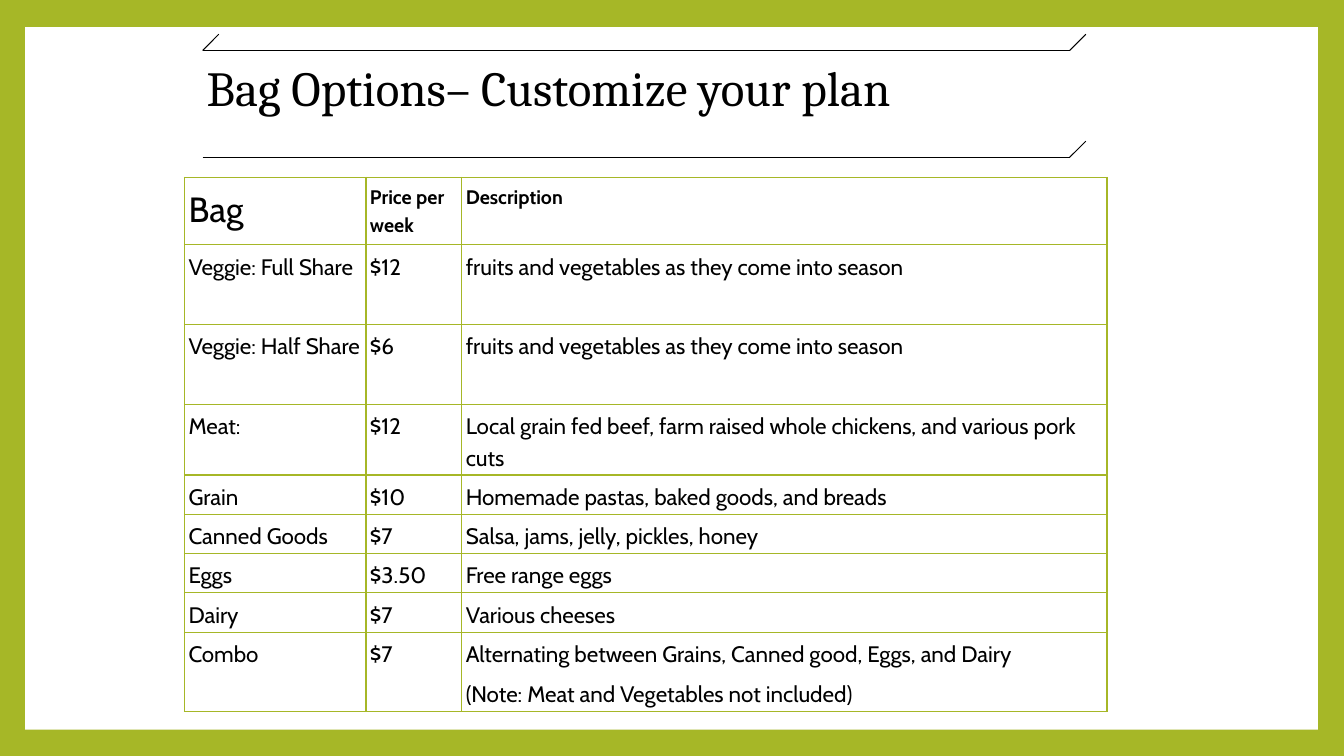
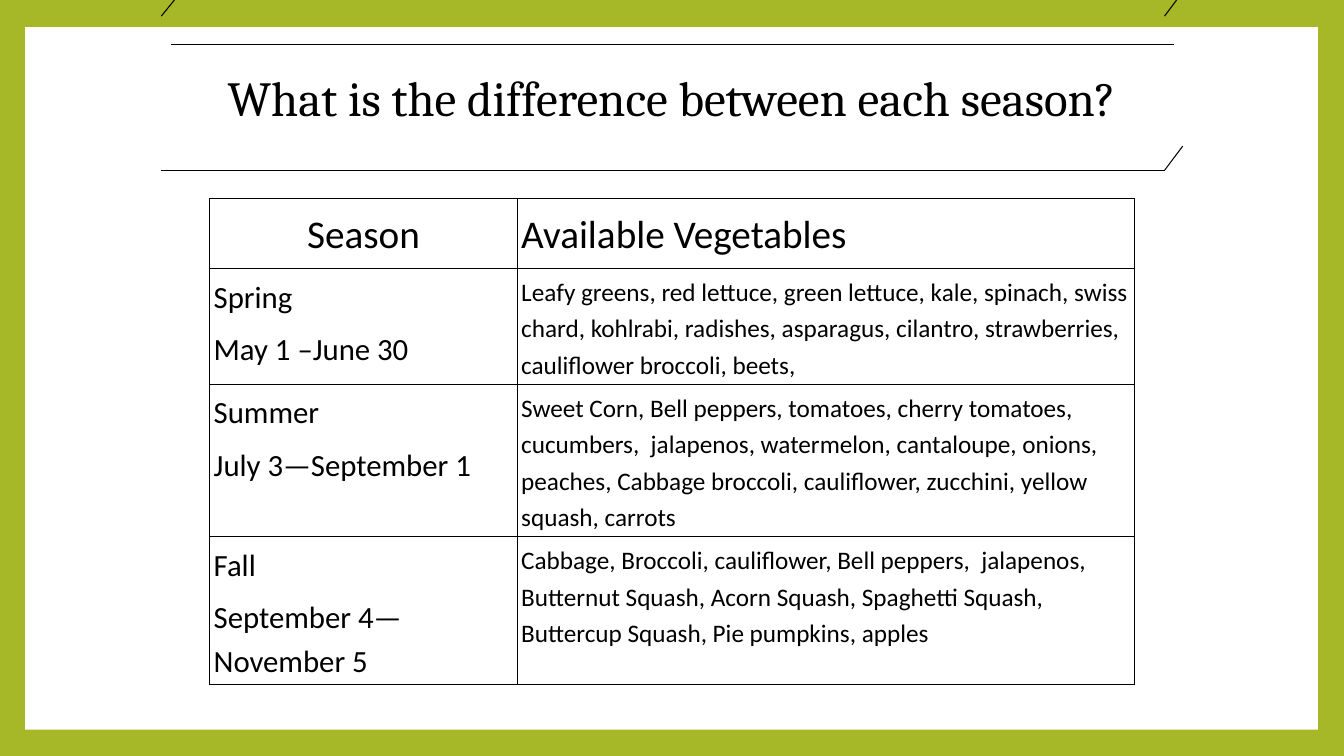
from dataclasses import dataclass, field

from lxml.etree import SubElement
from pptx import Presentation
from pptx.dml.color import RGBColor
from pptx.enum.shapes import MSO_CONNECTOR, MSO_SHAPE
from pptx.enum.text import MSO_ANCHOR, MSO_AUTO_SIZE, PP_ALIGN
from pptx.oxml.ns import qn
from pptx.slide import Slide
from pptx.table import _Cell as Cell
from pptx.text.text import TextFrame
from pptx.util import Inches, Pt


@dataclass(frozen=True)
class Theme:
    green: str = "A6B727"
    white: str = "FFFFFF"
    black: str = "000000"
    title_font: str = "Cambria"
    title_size: float = 35
    rule: float = 0.75
    inset: float = 0.04
    base: float = 0.03
    leading: float = 1.18
    after: float = 6


THEME = Theme()
TITLE_ONLY = 5
INSETS = {
    "margin_left": Inches(THEME.inset),
    "margin_top": Inches(THEME.inset),
    "margin_right": Inches(THEME.inset),
    "margin_bottom": Inches(THEME.base),
}


@dataclass(frozen=True)
class Style:
    size: float
    bold: bool = False
    align: PP_ALIGN = PP_ALIGN.LEFT


@dataclass(frozen=True)
class Line:
    x1: float
    y1: float
    x2: float
    y2: float


@dataclass(frozen=True)
class Title:
    text: str
    box: tuple[float, float, float, float]
    align: PP_ALIGN
    lines: list[Line]


@dataclass(frozen=True)
class Grid:
    """A table; a line break in a cell starts a new paragraph."""
    left: float
    top: float
    cols: list[float]
    rows: list[float]
    font: str
    edge: str
    weight: float
    head: list[Style]
    body: list[Style]
    cells: list[tuple[str, ...]] = field(default_factory=list)


@dataclass(frozen=True)
class Page:
    title: Title
    grid: Grid


PAGES = [
    Page(
        Title(
            "Bag Options– Customize your plan",
            (2.01, 0.53, 8.6, 0.63),
            PP_ALIGN.LEFT,
            [
                Line(2.01, 0.5, 2.17, 0.34),
                Line(10.61, 0.5, 10.77, 0.34),
                Line(2.01, 0.5, 10.61, 0.5),
                Line(10.61, 1.56, 10.77, 1.4),
                Line(2.01, 1.56, 10.61, 1.56),
            ],
        ),
        Grid(
            1.83, 1.76,
            cols=[1.8, 0.95, 6.4],
            rows=[0.67, 0.79, 0.79, 0.7] + [0.39] * 4 + [0.79],
            font="Cabin",
            edge=THEME.green,
            weight=1,
            head=[Style(25), Style(14, True), Style(14, True)],
            body=[Style(16)] * 3,
            cells=[
                ("Bag", "Price per week", "Description"),
                ("Veggie: Full Share", "$12",
                 "fruits and vegetables as they come into season"),
                ("Veggie: Half Share", "$6",
                 "fruits and vegetables as they come into season"),
                ("Meat:", "$12",
                 "Local grain fed beef, farm raised whole chickens, "
                 "and various pork cuts"),
                ("Grain", "$10", "Homemade pastas, baked goods, and breads"),
                ("Canned Goods", "$7", "Salsa, jams, jelly, pickles, honey"),
                ("Eggs", "$3.50", "Free range eggs"),
                ("Dairy", "$7", "Various cheeses"),
                ("Combo", "$7",
                 "Alternating between Grains, Canned good, Eggs, and Dairy\n"
                 "(Note: Meat and Vegetables not included)"),
            ],
        ),
    ),
    Page(
        Title(
            "What is the difference between each season?",
            (1.71, 0.63, 9.91, 0.91),
            PP_ALIGN.CENTER,
            [
                Line(1.6, 0.16, 1.73, 0),
                Line(11.55, 0.16, 11.67, 0),
                Line(1.7, 0.44, 11.64, 0.44),
                Line(11.55, 1.69, 11.73, 1.45),
                Line(1.6, 1.69, 11.55, 1.69),
            ],
        ),
        Grid(
            2.08, 1.97,
            cols=[3.05, 6.12],
            rows=[0.69, 1.15, 1.51, 1.47],
            font="Calibri",
            edge=THEME.black,
            weight=0.5,
            head=[Style(28, align=PP_ALIGN.CENTER), Style(28)],
            body=[Style(22), Style(18)],
            cells=[
                ("Season", "Available Vegetables"),
                ("Spring\nMay 1 –June 30",
                 "Leafy greens, red lettuce, green lettuce, kale, spinach, "
                 "swiss chard, kohlrabi, radishes, asparagus, cilantro, "
                 "strawberries, cauliflower broccoli, beets,"),
                ("Summer\nJuly 3—September 1",
                 "Sweet Corn, Bell peppers, tomatoes, cherry tomatoes, "
                 "cucumbers,  jalapenos, watermelon, cantaloupe, onions, "
                 "peaches, Cabbage broccoli, cauliflower, zucchini, "
                 "yellow squash, carrots"),
                ("Fall\nSeptember 4—November 5",
                 "Cabbage, Broccoli, cauliflower, Bell peppers,  jalapenos, "
                 "Butternut Squash, Acorn Squash, Spaghetti Squash, "
                 "Buttercup Squash, Pie pumpkins, apples"),
            ],
        ),
    ),
]


def paint(fill, shade: str) -> None:
    fill.solid()
    fill.fore_color.rgb = RGBColor.from_string(shade)


def apply(item, values: dict) -> None:
    for name, value in values.items():
        setattr(item, name, value)


def write(frame: TextFrame, text: str, font: dict, para: dict) -> None:
    frame.text = text
    for part in frame.paragraphs:
        apply(part, para)
        for run in part.runs:
            apply(run.font, font)
            run.font.color.rgb = RGBColor.from_string(THEME.black)


def add_panel(slide: Slide) -> None:
    """Draw the white panel behind everything else on the slide."""
    panel = slide.shapes.add_shape(
        MSO_SHAPE.RECTANGLE,
        Inches(0.25), Inches(0.27), Inches(12.82), Inches(6.97))
    panel.shadow.inherit = False
    paint(panel.fill, THEME.white)
    panel.line.fill.background()
    slide.shapes.element.insert(2, panel.element)


def add_line(slide: Slide, line: Line) -> None:
    ends = (Inches(n) for n in (line.x1, line.y1, line.x2, line.y2))
    rule = slide.shapes.add_connector(MSO_CONNECTOR.STRAIGHT, *ends)
    paint(rule.line.fill, THEME.black)
    rule.line.width = Pt(THEME.rule)
    SubElement(rule.element.spPr, qn("a:effectLst"))


def add_title(slide: Slide, title: Title) -> None:
    shape = slide.shapes.title
    names = ("left", "top", "width", "height")
    apply(shape, dict(zip(names, map(Inches, title.box))))
    frame = shape.text_frame
    apply(frame, INSETS | {
        "word_wrap": True,
        "auto_size": MSO_AUTO_SIZE.NONE,
        "vertical_anchor": MSO_ANCHOR.TOP,
    })
    write(frame, title.text,
          {"name": THEME.title_font, "size": Pt(THEME.title_size)},
          {"alignment": title.align})
    for line in title.lines:
        add_line(slide, line)


def set_edges(cell: Cell, shade: str, weight: float) -> None:
    """Give all four sides a border; borders must come before the fill."""
    props = cell._tc.get_or_add_tcPr()
    for place, side in enumerate(("lnL", "lnR", "lnT", "lnB")):
        edge = SubElement(props, qn(f"a:{side}"), w=str(Pt(weight)))
        fill = SubElement(edge, qn("a:solidFill"))
        SubElement(fill, qn("a:srgbClr"), val=shade)
        props.insert(place, edge)


def add_grid(slide: Slide, grid: Grid) -> None:
    table = slide.shapes.add_table(
        len(grid.rows), len(grid.cols), Inches(grid.left), Inches(grid.top),
        Inches(sum(grid.cols)), Inches(sum(grid.rows))).table
    apply(table, {"first_row": False, "horz_banding": False})
    for col, width in zip(table.columns, grid.cols):
        col.width = Inches(width)
    for row, height in zip(table.rows, grid.rows):
        row.height = Inches(height)
    for r, texts in enumerate(grid.cells):
        styles = grid.body if r else grid.head
        for c, (text, style) in enumerate(zip(texts, styles)):
            cell = table.cell(r, c)
            apply(cell, INSETS | {"vertical_anchor": MSO_ANCHOR.TOP})
            paint(cell.fill, THEME.white)
            set_edges(cell, grid.edge, grid.weight)
            write(cell.text_frame, text,
                  {"name": grid.font, "size": Pt(style.size),
                   "bold": style.bold},
                  {"alignment": style.align, "line_spacing": THEME.leading,
                   "space_after": Pt(THEME.after)})


def main() -> None:
    deck = Presentation()
    apply(deck, {"slide_width": Inches(13.33), "slide_height": Inches(7.5)})
    paint(deck.slide_master.background.fill, THEME.green)
    for page in PAGES:
        slide = deck.slides.add_slide(deck.slide_layouts[TITLE_ONLY])
        add_panel(slide)
        add_title(slide, page.title)
        add_grid(slide, page.grid)
    deck.save("out.pptx")


if __name__ == "__main__":
    main()
